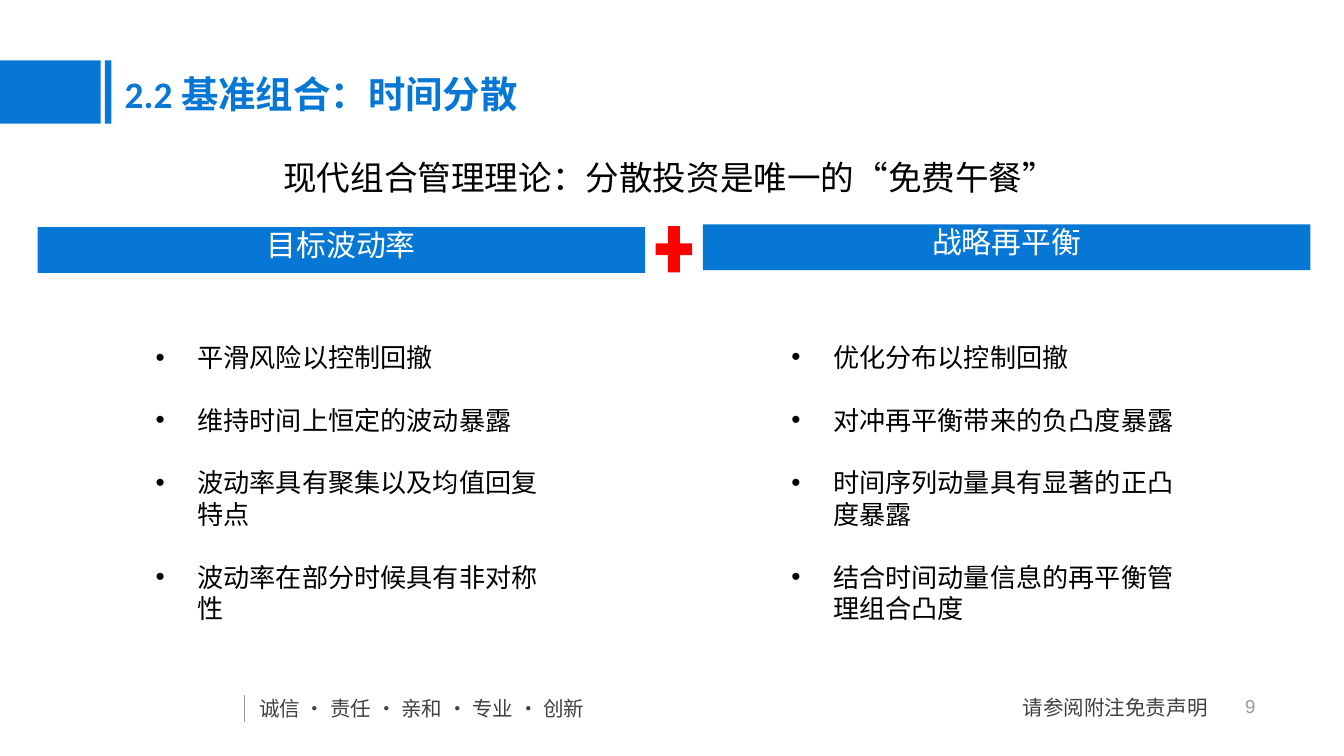
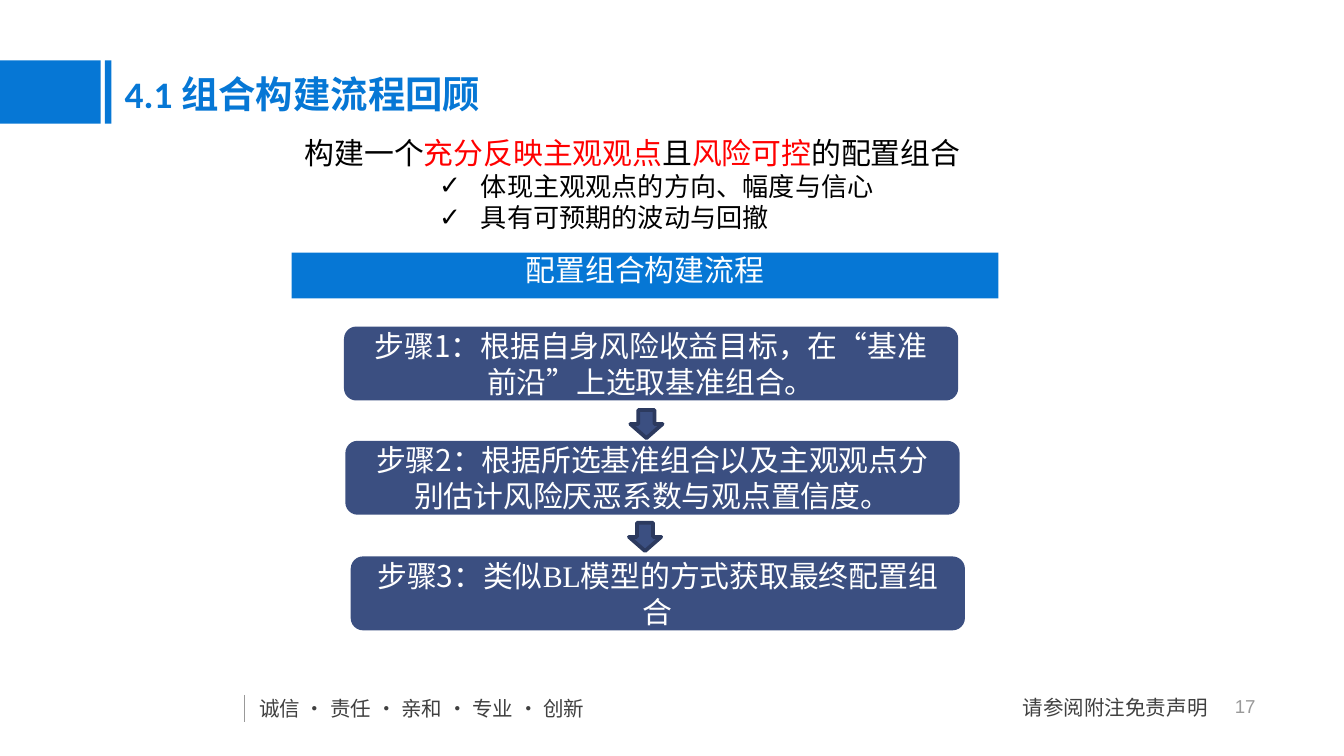
from lxml.etree import SubElement
from pptx import Presentation
from pptx.dml.color import RGBColor
from pptx.enum.shapes import MSO_CONNECTOR, MSO_SHAPE as Shape
from pptx.enum.text import MSO_ANCHOR as Anchor, PP_ALIGN as Align
from pptx.oxml.ns import qn
from pptx.util import Inches, Pt

COLORS = {
    "blue": "0677D5", "navy": "3B4F81", "navy_edge": "2C3A5F", "red": "FF0000",
    "black": "000000", "white": "FFFFFF", "footer": "404040", "grey": "999999",
}
CJK = "Noto Sans CJK SC"
LABEL_INSETS = (0.04, 0.05, 0.04, 0.05)


def add_block(page, kind, at, fill, edge=None):
    """Add a flat preset shape, outlined only when an edge colour is given."""
    block = page.shapes.add_shape(kind, *map(Inches, at))
    block.shadow.inherit = False
    block.fill.solid()
    block.fill.fore_color.rgb = RGBColor.from_string(COLORS[fill])
    if edge:
        block.line.color.rgb = RGBColor.from_string(COLORS[edge])
        block.line.width = Pt(2)
    else:
        block.line.fill.background()
    return block


def add_text(page, paragraphs, at=None, block=None, size=16, font=CJK, color="black",
             bold=False, align=Align.LEFT, insets=(0.1, 0.05, 0.1, 0.05), wrap=True,
             anchor=Anchor.TOP, bullet=None, level=0, indent=0.31, gap=0):
    """Write paragraphs into a new text box, or after any text in a block.

    A paragraph is a string or a list of (text, overrides) pairs, where
    overrides may hold color and font.
    """
    box = block or page.shapes.add_textbox(*map(Inches, at))
    frame = box.text_frame
    frame.word_wrap = wrap
    frame.vertical_anchor = anchor
    (frame.margin_left, frame.margin_top,
     frame.margin_right, frame.margin_bottom) = map(Inches, insets)
    for index, pieces in enumerate(paragraphs):
        para = frame.add_paragraph() if frame.text else frame.paragraphs[0]
        para.alignment = align
        para.level = level
        if index:
            para.space_before = Pt(gap)
        if bullet:
            props = para._p.get_or_add_pPr()
            props.set("marL", str(Inches(indent)))
            props.set("indent", str(-Inches(0.31)))
            SubElement(props, qn("a:buFont"), typeface="Arial")
            SubElement(props, qn("a:buChar"), char=bullet)
        if isinstance(pieces, str):
            pieces = [(pieces, {})]
        for text, overrides in pieces:
            span = para.add_run()
            span.text = text
            span.font.size = Pt(size)
            span.font.bold = bold
            span.font.name = overrides.get("font", font)
            span.font.color.rgb = RGBColor.from_string(COLORS[overrides.get("color", color)])
            SubElement(span._r.get_or_add_rPr(), qn("a:ea"), typeface=CJK)
    return box


deck = Presentation()
deck.slide_width = Inches(10)
deck.slide_height = Inches(10 * 9 / 16)

# Title band and footer on every page
pages = []
for number, title in [("9", "2.2 基准组合：时间分散"), ("17", "4.1 组合构建流程回顾")]:
    page = deck.slides.add_slide(deck.slide_layouts[6])
    pages.append(page)

    add_text(page, ["诚信 · 责任 · 亲和 · 专业 · 创新"], at=(1.83, 5.13, 2.94, 0.29),
             size=11, color="footer")
    divider = page.shapes.add_connector(
        MSO_CONNECTOR.STRAIGHT, Inches(1.82), Inches(5.17), Inches(1.82), Inches(5.37))
    divider.line.color.rgb = RGBColor.from_string(COLORS["grey"])
    divider.line.width = Pt(0.75)
    SubElement(divider._element.spPr, qn("a:effectLst"))
    add_text(page, [number + " "], at=(9.17, 5.17, 0.21, 0.17), size=10, font="Arial",
             color="grey", align=Align.RIGHT, insets=(0, 0, 0, 0), wrap=False)
    add_text(page, ["请参阅附注免责声明"], at=(7.51, 5.12, 1.66, 0.29),
             size=11, color="footer")

    for left, width in [(0, 0.75), (0.78, 0.05)]:
        add_block(page, Shape.RECTANGLE, (left, 0.45, width, 0.47), "blue")
    add_text(page, [title], at=(0.83, 0.48, 8.43, 0.44), size=20, font="Calibri",
             color="blue", bold=True)

diversification, process = pages

# Blue heading bars
for page, heading, left, top, width in [
    (diversification, "目标波动率", 0.28, 1.69, 4.52),
    (diversification, "战略再平衡", 5.23, 1.67, 4.52),
    (process, "配置组合构建流程", 2.17, 1.88, 5.26),
]:
    add_block(page, Shape.RECTANGLE, (left, top, width, 0.34), "blue")
    add_text(page, [heading], at=(left, top - 0.055, width, 0.37), color="white",
             align=Align.CENTER, insets=LABEL_INSETS)

# Time diversification: two columns joined by a plus
add_text(diversification, ["现代组合管理理论：分散投资是唯一的“免费午餐”"],
         at=(2.01, 1.12, 5.98, 0.4), size=18)
columns = [
    (1.06, 2.22, ["平滑风险以控制回撤", "维持时间上恒定的波动暴露",
                  "波动率具有聚集以及均值回复特点", "波动率在部分时候具有非对称性"]),
    (5.79, 2.76, ["优化分布以控制回撤", "对冲再平衡带来的负凸度暴露",
                  "时间序列动量具有显著的正凸度暴露", "结合时间动量信息的再平衡管理组合凸度"]),
]
for left, height, points in columns:
    add_text(diversification, points, at=(left, 2.49, 3.15, height), size=14,
             bullet="•", gap=16.8)
add_block(diversification, Shape.MATH_PLUS, (4.83, 1.62, 0.37, 0.47), "red")

# Portfolio construction: goal, then three steps
red = {"color": "red"}
goal = [("构建一个", {}), ("充分反映主观观点", red), ("且", {}), ("风险可控", red),
        ("的配置组合", {})]
goal_box = add_text(process, [goal], at=(2.17, 0.95, 5.26, 0.84))
add_text(process, ["体现主观观点的方向、幅度与信心", "具有可预期的波动与回撤"],
         block=goal_box, size=14, bullet="✓", level=2, indent=1.31)

steps = [
    (2.56, 2.43, "步骤1：根据自身风险收益目标，在“基准前沿”上选取基准组合。"),
    (2.57, 3.28, "步骤2：根据所选基准组合以及主观观点分别估计风险厌恶系数与观点置信度。"),
    (2.61, 4.14, [("步骤3：类似", {}), ("BL", {"font": "Times New Roman"}),
                  ("模型的方式获取最终配置组合", {})]),
]
for left, top, step in steps:
    block = add_block(process, Shape.ROUNDED_RECTANGLE, (left, top, 4.57, 0.55), "navy")
    add_text(process, [step], block=block, color="white", align=Align.CENTER,
             anchor=Anchor.MIDDLE)
for left, top in [(4.69, 3.05), (4.68, 3.89)]:
    add_block(process, Shape.DOWN_ARROW, (left, top, 0.24, 0.21), "navy", edge="navy_edge")

deck.save("out.pptx")
